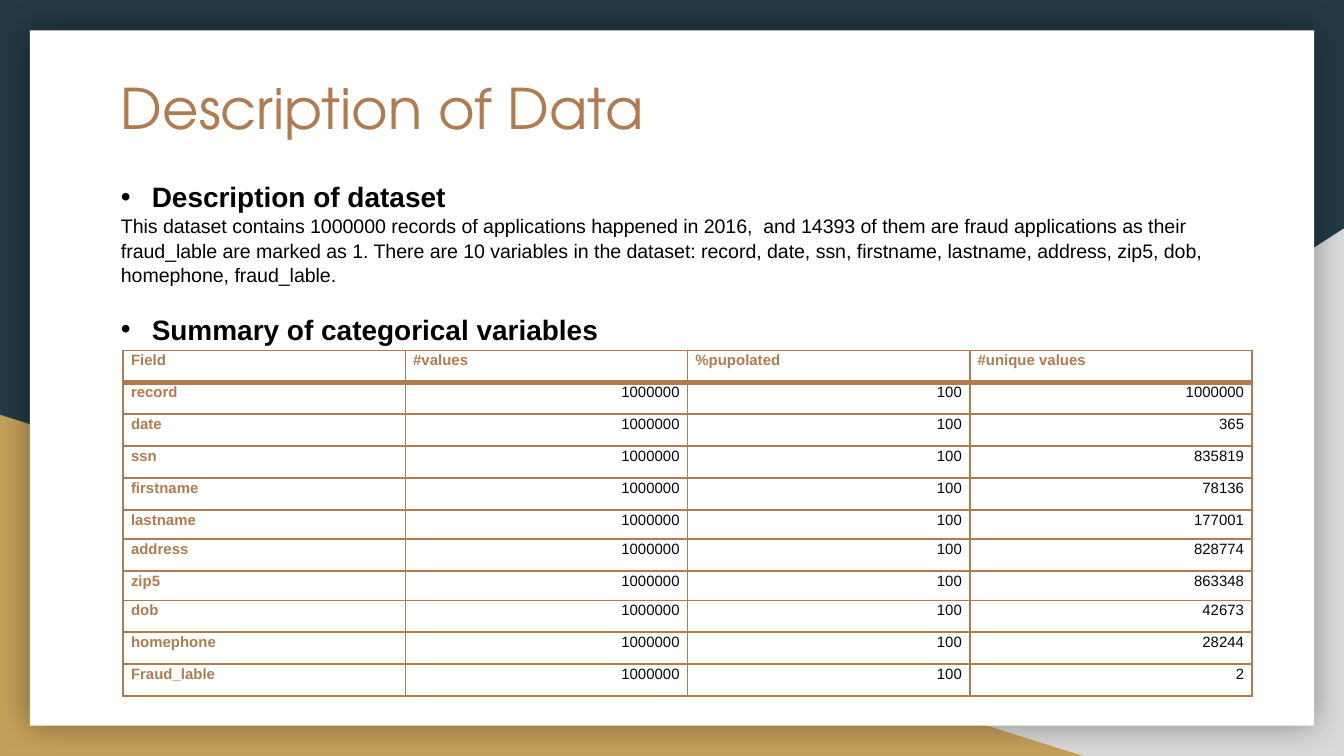
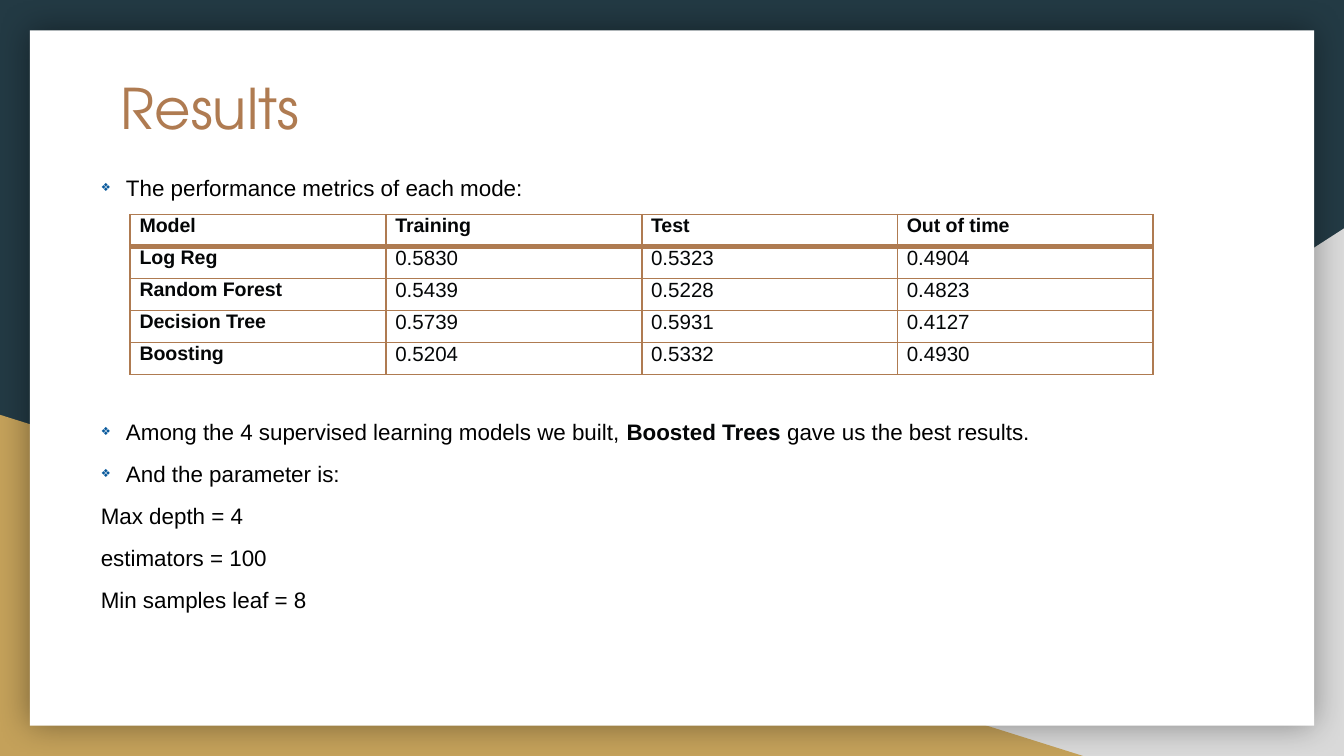
import pptx
import pptx.util
import pptx.dml.color
import pptx.enum.shapes
import pptx.enum.text
import pptx.oxml
import pptx.oxml.ns
from lxml import etree

Pt = pptx.util.Pt
RGBColor = pptx.dml.color.RGBColor
SHAPE = pptx.enum.shapes.MSO_SHAPE
ALIGN = pptx.enum.text.PP_ALIGN
qn = pptx.oxml.ns.qn

# Shared colours and fonts
NAVY = RGBColor(0x23, 0x3A, 0x44)
GREY = RGBColor(0xD9, 0xD9, 0xD9)
GOLD = RGBColor(0xC4, 0xA1, 0x5A)
BROWN = RGBColor(0xAF, 0x7B, 0x51)
BLUE = RGBColor(0x08, 0x59, 0x9C)
INK = RGBColor(0x04, 0x06, 0x07)
BLACK = RGBColor(0, 0, 0)
WHITE = RGBColor(0xFF, 0xFF, 0xFF)
TITLE_FONT = "TeX Gyre Adventor"
BODY_FONT = "Arial"

SLIDE_WIDTH, SLIDE_HEIGHT = 720, 405

DATASET_TEXT = (
    "This dataset contains 1000000 records of applications happened in 2016,  and 14393 of them "
    "are fraud applications as their fraud_lable are marked as 1. There are 10 variables in the "
    "dataset: record, date, ssn, firstname, lastname, address, zip5, dob, homephone, fraud_lable."
)
UNIQUE_VALUES = {
    "record": 1000000, "date": 365, "ssn": 835819, "firstname": 78136, "lastname": 177001,
    "address": 828774, "zip5": 863348, "dob": 42673, "homephone": 28244, "Fraud_lable": 2,
}
FIELD_ROWS = [["Field", "#values", "%pupolated", "#unique values"]] + [
    [field, "1000000", "100", str(count)] for field, count in UNIQUE_VALUES.items()
]
MODEL_ROWS = [
    ["Model", "Training", "Test", "Out of time"],
    ["Log Reg", "0.5830", "0.5323", "0.4904"],
    ["Random Forest", "0.5439", "0.5228", "0.4823"],
    ["Decision Tree", "0.5739", "0.5931", "0.4127"],
    ["Boosting", "0.5204", "0.5332", "0.4930"],
]


def add_child(parent, tag, **attributes):
    child = etree.SubElement(parent, qn(tag))
    for name, value in attributes.items():
        child.set(name, str(value))
    return child


def style_font(font, size, color, bold=False, name=BODY_FONT):
    font.name, font.size, font.bold = name, Pt(size), bold
    font.color.rgb = color


def place(shape, left, top, width, height):
    shape.left, shape.top, shape.width, shape.height = map(Pt, (left, top, width, height))


# Backdrop: two triangles and a white card, kept on the layout
def add_backdrop_shape(page, kind, left, top, width, height, color):
    shape = page.shapes.add_shape(kind, Pt(left), Pt(top), Pt(width), Pt(height))
    shape.shadow.inherit = False
    shape.fill.solid()
    shape.fill.fore_color.rgb = color
    shape.line.fill.background()
    return shape


def add_card_shadow(card):
    effects = card.element.spPr.find(qn("a:effectLst"))
    shadow = add_child(effects, "a:outerShdw", blurRad=Pt(18), dist=0, dir=0, rotWithShape=0)
    add_child(add_child(shadow, "a:srgbClr", val=BLACK), "a:alpha", val=40000)


def move_backdrop_to_layout(page, layout):
    layout.background.fill.solid()
    layout.background.fill.fore_color.rgb = NAVY
    tree = layout.shapes.element
    for holder in list(layout.placeholders):
        if holder.placeholder_format.idx >= 10:
            tree.remove(holder.element)
    right = add_backdrop_shape(page, SHAPE.RIGHT_TRIANGLE, 282.2, 122.4, 437.8, 282.6, GREY)
    right.element.spPr.get_or_add_xfrm().set("flipH", "1")
    left = add_backdrop_shape(page, SHAPE.RIGHT_TRIANGLE, 0, 222.2, 580.3, 182.8, GOLD)
    card = add_backdrop_shape(page, SHAPE.RECTANGLE, 16, 16.2, 688, 372.6, WHITE)
    add_card_shadow(card)
    for index, shape in enumerate((right, left, card), start=2):
        tree.insert(index, shape.element)


# Text
def prepare_frame(shape):
    frame = shape.text_frame
    frame.word_wrap = True
    frame.auto_size = pptx.enum.text.MSO_AUTO_SIZE.NONE
    frame.vertical_anchor = pptx.enum.text.MSO_ANCHOR.TOP
    return frame


def set_title(page, text):
    title = page.shapes.title
    place(title, 57.6, 32.4, 591, 75)
    frame = prepare_frame(title)
    frame.margin_left = frame.margin_right = frame.margin_top = frame.margin_bottom = Pt(7.2)
    frame.text = text
    para = frame.paragraphs[0]
    para.alignment = ALIGN.LEFT
    style_font(para.font, 30, BROWN, name=TITLE_FONT)


def set_bullet(para, char=None, color=BLACK, indent=0, percent=100):
    properties = para._p.get_or_add_pPr()
    properties.set("marL", str(Pt(indent)))
    properties.set("indent", str(-Pt(indent)))
    if char is None:
        add_child(properties, "a:buNone")
        return
    add_child(add_child(properties, "a:buClr"), "a:srgbClr", val=color)
    add_child(properties, "a:buSzPct", val=percent * 1000)
    add_child(properties, "a:buFont", typeface=BODY_FONT)
    add_child(properties, "a:buChar", char=char)


def add_para(frame, text, size, spacing, before=0, bold=False, bullet=None):
    first = frame.paragraphs[0]
    para = frame.add_paragraph() if first.runs else first
    set_bullet(para, **(bullet or {}))
    para.alignment = ALIGN.LEFT
    para.line_spacing = spacing
    para.space_before, para.space_after = Pt(before), Pt(0)
    style_font(para.font, size, BLACK, bold)
    para.add_run().text = text
    return para


# Tables
def set_borders(cell, top, bottom):
    properties = cell._tc.get_or_add_tcPr()
    for side, width in (("L", 1), ("R", 1), ("T", top), ("B", bottom)):
        line = add_child(properties, f"a:ln{side}", w=Pt(width))
        add_child(add_child(line, "a:solidFill"), "a:srgbClr", val=BROWN)


def add_data_table(page, rows, left, top, column_width, row_heights, inset, label_style,
                   value_style, value_align=ALIGN.LEFT, spacing=1.0):
    columns = len(rows[0])
    table = page.shapes.add_table(len(rows), columns, Pt(left), Pt(top),
                                  Pt(column_width * columns), Pt(sum(row_heights))).table
    table.first_row = table.horz_banding = False
    for column in table.columns:
        column.width = Pt(column_width)
    for r, (texts, height) in enumerate(zip(rows, row_heights)):
        table.rows[r].height = Pt(height)
        for c, text in enumerate(texts):
            cell = table.cell(r, c)
            set_borders(cell, 3 if r == 1 else 1, 3 if r == 0 else 1)
            cell.fill.solid()
            cell.fill.fore_color.rgb = WHITE
            cell.margin_left = cell.margin_right = Pt(inset)
            cell.margin_top = cell.margin_bottom = 0
            cell.text = text
            para = cell.text_frame.paragraphs[0]
            para.line_spacing = spacing
            is_label = r == 0 or c == 0
            para.alignment = ALIGN.LEFT if is_label else value_align
            size, color = label_style if is_label else value_style
            style_font(para.font, size, color, bold=is_label)


# Slides
def build_data_page(page):
    set_title(page, "Description of Data")
    body = page.placeholders[1]
    place(body, 57.6, 92, 612.7, 94)
    frame = prepare_frame(body)
    dot = dict(char="•", indent=16.5)
    add_para(frame, "Description of dataset", 15, 1.04, bold=True, bullet=dot)
    add_para(frame, DATASET_TEXT, 10.5, 1.04)
    add_para(frame, "Summary of categorical variables", 15, 1.04, before=13, bold=True, bullet=dot)
    short_rows = ("lastname", "zip5")
    heights = [15.7 if row[0] in short_rows else 17.1 for row in FIELD_ROWS]
    add_data_table(page, FIELD_ROWS, 66, 187.7, 151.2, heights, 4.2,
                   (8, BROWN), (8, INK), ALIGN.RIGHT, 1.1)


def build_results_page(page):
    set_title(page, "Results")
    body = page.placeholders[1]
    place(body, 46.8, 82.5, 571, 240)
    frame = prepare_frame(body)
    diamond = dict(char="❖", color=BLUE, indent=13.5, percent=50)
    add_para(frame, "The performance metrics of each mode:", 12, 1.5, bullet=diamond)
    # The wide gap leaves room for the table
    best = add_para(frame, "Among the 4 supervised learning models we built, ", 12, 1.5,
                    before=109, bullet=diamond)
    span = best.add_run()
    span.text = "Boosted Trees "
    span.font.bold = True
    span.font.color.rgb = INK
    best.add_run().text = "gave us the best results."
    add_para(frame, "And the parameter is:", 12, 1.5, before=0.95, bullet=diamond)
    for setting in ("Max depth = 4", "estimators = 100", "Min samples leaf = 8"):
        add_para(frame, setting, 12, 1.5, before=0.95)
    add_data_table(page, MODEL_ROWS, 69.8, 115, 137, [17.14] * len(MODEL_ROWS), 5,
                   (10.5, INK), (11, INK))


def main():
    deck = pptx.Presentation()
    deck.slide_width, deck.slide_height = Pt(SLIDE_WIDTH), Pt(SLIDE_HEIGHT)
    layout = deck.slide_layouts[1]
    data_page = deck.slides.add_slide(layout)
    move_backdrop_to_layout(data_page, layout)
    build_data_page(data_page)
    build_results_page(deck.slides.add_slide(layout))
    deck.save("out.pptx")


if __name__ == "__main__":
    main()
